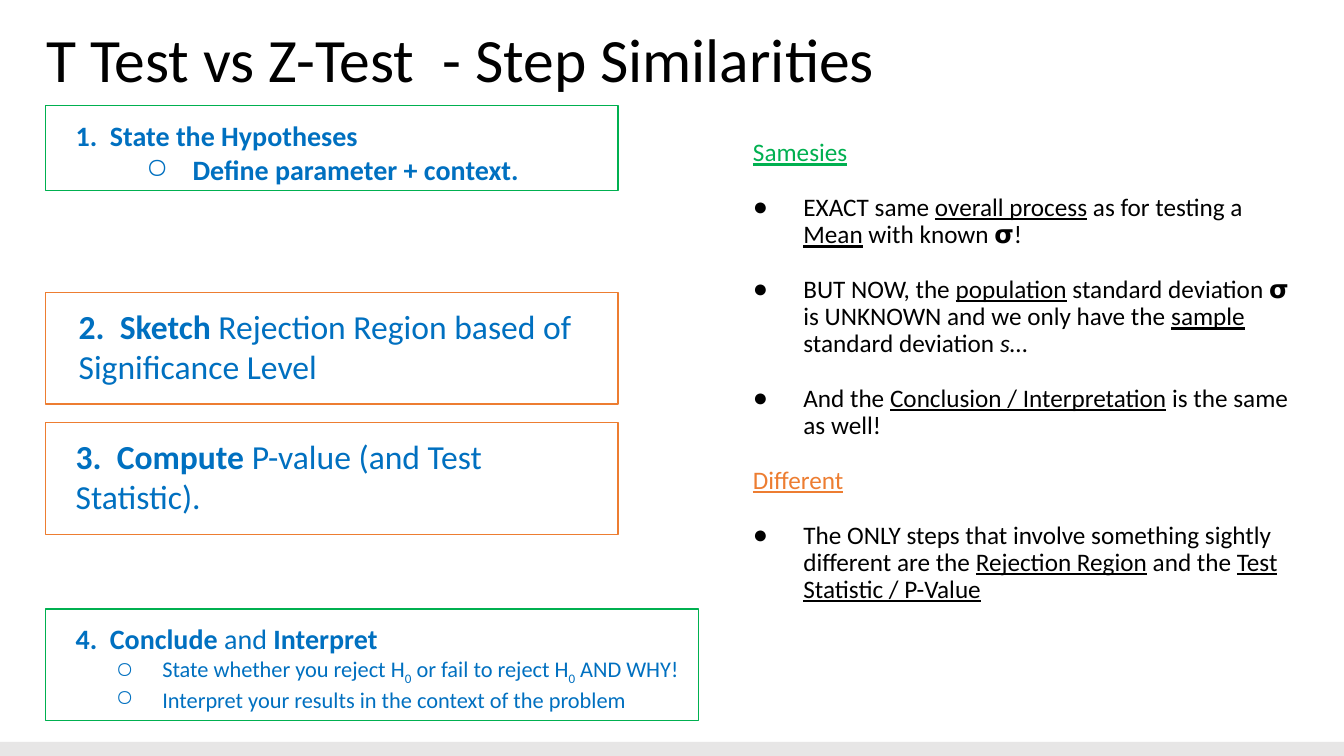
"""Build the slide that compares the steps of a t test and a z test."""
from dataclasses import dataclass

from lxml import etree
from pptx import Presentation
from pptx.dml.color import RGBColor
from pptx.enum.shapes import MSO_SHAPE
from pptx.enum.text import MSO_ANCHOR, MSO_AUTO_SIZE, PP_ALIGN
from pptx.oxml.ns import qn
from pptx.util import Inches, Pt

RECTANGLE = MSO_SHAPE.RECTANGLE
TOP = MSO_ANCHOR.TOP
NO_FIT = MSO_AUTO_SIZE.NONE
LEFT = PP_ALIGN.LEFT
CELL = Inches(0.1)
COLUMNS, ROWS = 133.33, 75
CIRCLE, DOT = "○", "●"


@dataclass(frozen=True)
class Theme:
    font: str = "Calibri"
    black: str = "000000"
    white: str = "FFFFFF"
    blue: str = "0070C0"
    green: str = "00B050"
    orange: str = "ED7D31"
    gray: str = "E7E6E6"
    title: int = 44
    large: int = 24
    medium: int = 20
    body: int = 18
    small: int = 16
    tight: float = 0.9
    gap: float = 19.6


THEME = Theme()


@dataclass(frozen=True)
class Area:
    column: float
    row: float
    columns: float
    rows: float


@dataclass(frozen=True)
class Span:
    text: str
    bold: bool = False
    italic: bool = False
    underline: bool = False
    subscript: bool = False


@dataclass(frozen=True)
class Para:
    spans: tuple[Span, ...]
    size: int
    color: str = THEME.blue
    margin: float = 1.7
    hanging: float = 0
    bullet: str = ""
    level: int = 0
    spacing: float = 1.0
    before: float = 0


@dataclass(frozen=True)
class StepBox:
    area: Area
    outline: str
    paras: tuple[Para, ...]


def bold(text: str) -> Span:
    """Return a bold span."""
    return Span(text, bold=True)


def under(text: str) -> Span:
    """Return an underlined span."""
    return Span(text, underline=True)


def sub(text: str) -> Span:
    """Return a subscript span."""
    return Span(text, subscript=True)


def detail(margin: float, size: int, *spans: Span) -> Para:
    """Return a second-level point of a step."""
    return Para(spans, size, margin=margin, hanging=4.6, bullet=CIRCLE, level=1)


def heading(text: str, color: str, before: float = 0) -> Para:
    """Return an underlined heading of the comparison list."""
    return Para((under(text),), THEME.body, color, spacing=THEME.tight, before=before)


def point(*spans: Span) -> Para:
    """Return a bulleted point of the comparison list."""
    return Para(spans, THEME.body, THEME.black, 6.7, 5, DOT,
                spacing=THEME.tight, before=THEME.gap)


def cells(count: float) -> int:
    """Convert grid cells to a length."""
    return round(count * CELL)


def place(shape, area: Area) -> None:
    """Move a shape to its area of the grid."""
    shape.left, shape.top = cells(area.column), cells(area.row)
    shape.width, shape.height = cells(area.columns), cells(area.rows)


def add_span(paragraph, span: Span, para: Para) -> None:
    """Add one formatted run to a paragraph."""
    run = paragraph.add_run()
    run.text = span.text
    font = run.font
    font.name, font.size = THEME.font, Pt(para.size)
    font.color.rgb = RGBColor.from_string(para.color)
    font.bold, font.italic, font.underline = span.bold, span.italic, span.underline
    if span.subscript:
        run._r.get_or_add_rPr().set("baseline", "-25000")


def fill_text(shape, paras: tuple[Para, ...], inset: float) -> None:
    """Write paragraphs into a shape from its top edge."""
    frame = shape.text_frame
    frame.word_wrap, frame.auto_size, frame.vertical_anchor = True, NO_FIT, TOP
    frame.margin_left = frame.margin_right = cells(inset)
    frame.margin_top = frame.margin_bottom = cells(inset)
    for index, para in enumerate(paras):
        paragraph = frame.add_paragraph() if index else frame.paragraphs[0]
        paragraph.alignment, paragraph.level = LEFT, para.level
        paragraph.line_spacing = para.spacing
        paragraph.space_before, paragraph.space_after = Pt(para.before), Pt(0)
        properties = paragraph._p.get_or_add_pPr()
        properties.set("marL", str(cells(para.margin)))
        properties.set("indent", str(-cells(para.hanging)))
        if para.bullet:
            etree.SubElement(properties, qn("a:buChar")).set("char", para.bullet)
        else:
            etree.SubElement(properties, qn("a:buNone"))
        for span in para.spans:
            add_span(paragraph, span, para)


def add_box(page, area: Area, fill: str, outline: str = ""):
    """Add a plain rectangle, outlined when a colour is given."""
    box = page.shapes.add_shape(RECTANGLE, 0, 0, 0, 0)
    place(box, area)
    box.shadow.inherit = False
    box.fill.solid()
    box.fill.fore_color.rgb = RGBColor.from_string(fill)
    if outline:
        box.line.color.rgb = RGBColor.from_string(outline)
        box.line.width = Pt(1)
    else:
        box.line.fill.background()
    return box


TITLE = Para((Span("T Test vs Z-Test  - Step Similarities"),), THEME.title,
             THEME.black, margin=0, spacing=THEME.tight)
STEPS = (
    StepBox(Area(4.5, 10.5, 56.8, 8.4), THEME.green, (
        Para((bold("1.  State the Hypotheses"),), THEME.medium),
        detail(13.3, THEME.medium, bold("Define parameter + context.")))),
    StepBox(Area(4.5, 29, 56.8, 11.1), THEME.orange, (
        Para((bold("2.  Sketch"), Span(" Rejection Region based of Significance Level")),
             THEME.large, margin=2),)),
    StepBox(Area(4.5, 41.9, 56.8, 11.1), THEME.orange, (
        Para((bold("3.  Compute"), Span(" P-value (and Test Statistic).")), THEME.large),)),
    StepBox(Area(4.5, 60.4, 64.8, 11.1), THEME.green, (
        Para((bold("4.  Conclude "), Span("and"), bold(" Interpret")), THEME.medium),
        detail(10.3, THEME.small, Span("State whether you reject H"), sub("0"),
               Span(" or fail to reject H"), sub("0"), Span(" AND WHY!")),
        detail(10.3, THEME.small,
               Span("Interpret your results in the context of the problem")))),
)
COMPARISON = (
    heading("Samesies", THEME.green),
    point(Span("EXACT same "), under("overall process"), Span(" as for testing a "),
          under("Mean"), Span(" with known 𝞂!")),
    point(Span("BUT NOW, the "), under("population"),
          Span(" standard deviation 𝞂 is UNKNOWN and we only have the "),
          under("sample"), Span(" standard deviation "), Span("s", italic=True), Span("…")),
    point(Span("And the "), under("Conclusion / Interpretation"),
          Span(" is the same as well!")),
    heading("Different", THEME.orange, THEME.gap),
    point(Span("The ONLY steps that involve something sightly different are the "),
          under("Rejection Region"), Span(" and the "), under("Test Statistic / P-Value")),
)

deck = Presentation()
deck.slide_width, deck.slide_height = cells(COLUMNS), cells(ROWS)
page = deck.slides.add_slide(deck.slide_layouts[1])
title, body = page.shapes.title, page.placeholders[1]
place(title, Area(3.3, 1.6, 124.2, 8.4))
fill_text(title, (TITLE,), 1.3)
place(body, Area(72, 12.9, 58.2, 49.8))
fill_text(body, COMPARISON, 1)
add_box(page, Area(0, ROWS - 1.4, COLUMNS, 1.4), THEME.gray)
for step in STEPS:
    fill_text(add_box(page, step.area, THEME.white, step.outline), step.paras, 1.3)
deck.save("out.pptx")
